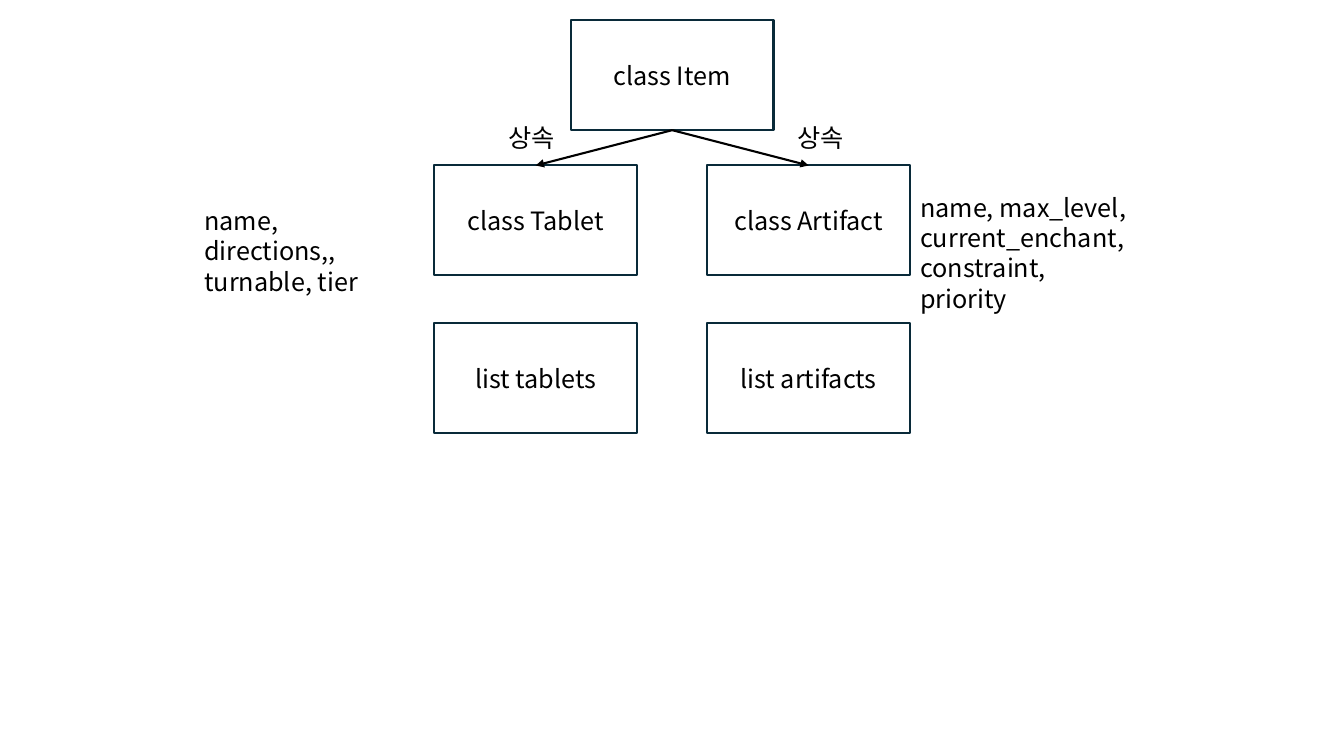
"""Build a class diagram slide for items, tablets and artifacts."""
from dataclasses import dataclass

import lxml.etree
import pptx
import pptx.dml.color
import pptx.enum.shapes
import pptx.enum.text
import pptx.oxml.ns
import pptx.util
from pptx.util import Cm


@dataclass(frozen=True)
class Theme:
    font: str = "Noto Sans CJK KR"
    size: float = 18
    line_width: float = 1.5
    ink: str = "000000"
    fill: str = "FFFFFF"
    outline: str = "092A39"


def rgb(value):
    return pptx.dml.color.RGBColor.from_string(value)


def add_xml(parent, tag, **attributes):
    return lxml.etree.SubElement(parent, pptx.oxml.ns.qn(tag), **attributes)


class ClassDiagram:
    def __init__(self, slide, theme):
        self.slide = slide
        self.theme = theme

    def set_lines(self, frame, lines, align):
        frame.text = "\n".join(lines)
        for paragraph in frame.paragraphs:
            paragraph.alignment = align
            font = paragraph.font
            font.name = self.theme.font
            font.size = pptx.util.Pt(self.theme.size)
            font.color.rgb = rgb(self.theme.ink)
            defaults = paragraph._p.pPr.find(pptx.oxml.ns.qn("a:defRPr"))
            add_xml(defaults, "a:ea", typeface=self.theme.font)

    def box(self, text, center, top, width=5.11, height=2.77):
        box = self.slide.shapes.add_shape(
            pptx.enum.shapes.MSO_SHAPE.RECTANGLE,
            Cm(center - width / 2), Cm(top), Cm(width), Cm(height))
        box.shadow.inherit = False
        box.fill.solid()
        box.fill.fore_color.rgb = rgb(self.theme.fill)
        box.line.color.rgb = rgb(self.theme.outline)
        box.line.width = pptx.util.Pt(self.theme.line_width)
        box.text_frame.vertical_anchor = pptx.enum.text.MSO_ANCHOR.MIDDLE
        self.set_lines(box.text_frame, [text], pptx.enum.text.PP_ALIGN.CENTER)
        return box

    def note(self, lines, left, top, width, height):
        note = self.slide.shapes.add_textbox(Cm(left), Cm(top), Cm(width), Cm(height))
        note.text_frame.word_wrap = True
        self.set_lines(note.text_frame, lines, pptx.enum.text.PP_ALIGN.LEFT)

    def arrow(self, parent, child):
        arrow = self.slide.shapes.add_connector(
            pptx.enum.shapes.MSO_CONNECTOR.STRAIGHT, 0, 0, 0, 0)
        arrow.begin_connect(parent, 2)
        arrow.end_connect(child, 0)
        arrow.line.color.rgb = rgb(self.theme.ink)
        arrow.line.width = pptx.util.Pt(self.theme.line_width)
        add_xml(arrow.line._get_or_add_ln(), "a:tailEnd", type="triangle")
        add_xml(arrow._element.spPr, "a:effectLst")


def main():
    deck = pptx.Presentation()
    deck.slide_width, deck.slide_height = Cm(33.87), Cm(19.05)
    diagram = ClassDiagram(deck.slides.add_slide(deck.slide_layouts[6]), Theme())

    middle, offset = 16.94, 3.44
    item = diagram.box("class Item", middle, 0.51)
    branches = [
        ("class Tablet", "list tablets", middle - offset, 12.57),
        ("class Artifact", "list artifacts", middle + offset, 19.84),
    ]
    for class_name, list_name, center, label_left in branches:
        subclass = diagram.box(class_name, center, 4.17)
        diagram.box(list_name, center, 8.15)
        diagram.arrow(item, subclass)
        diagram.note(["상속"], label_left, 2.97, 1.83, 1.02)

    diagram.note(["name, directions,,", "turnable, tier"], 4.9, 5.05, 5.59, 1.8)
    diagram.note(["name, max_level,", "current_enchant,", "constraint, priority"],
                 22.94, 4.72, 5.82, 3.33)
    deck.save("out.pptx")


if __name__ == "__main__":
    main()
